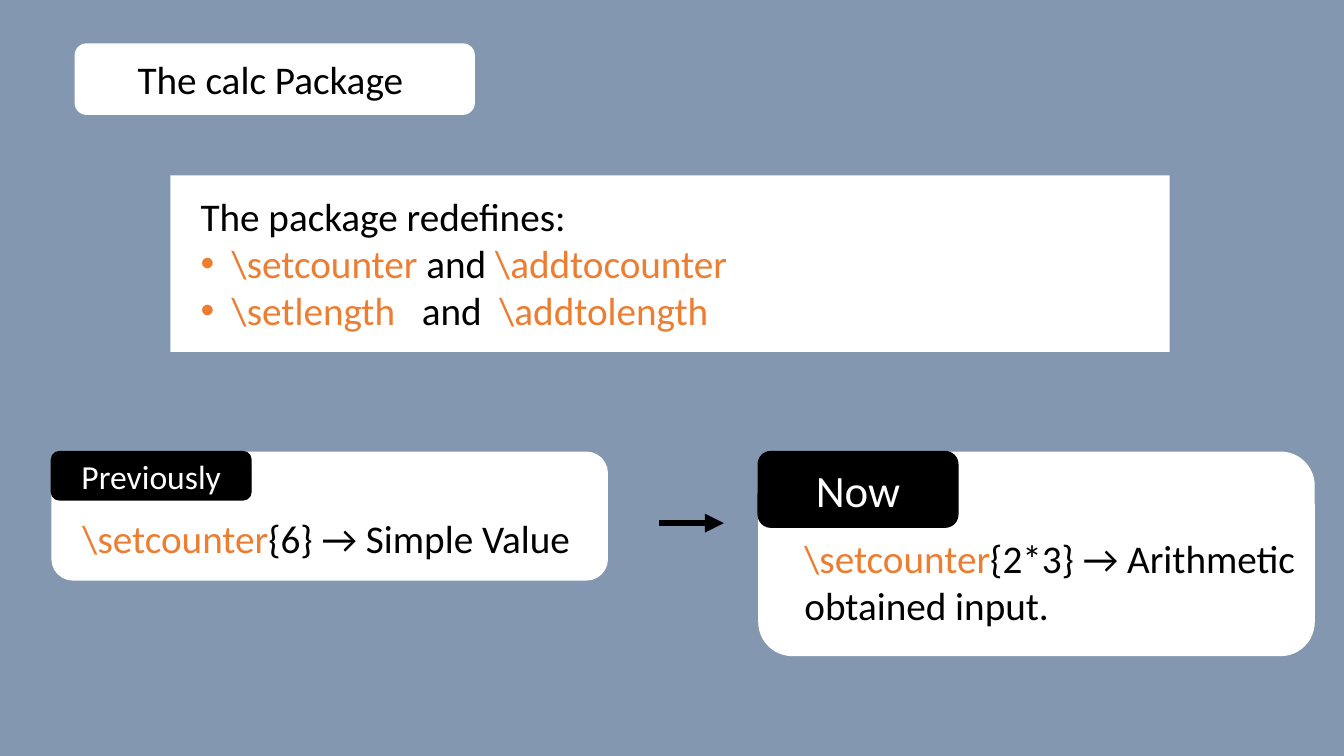
from lxml import etree
from pptx import Presentation
from pptx.dml import color
from pptx.enum import shapes, text
from pptx.oxml import ns
from pptx.util import Emu, Pt

PX = 9144  # 100 px to the inch
FONT = "Calibri"
SLATE, WHITE, BLACK, ORANGE = "8497B0", "FFFFFF", "000000", "ED7D31"
ROUND = shapes.MSO_SHAPE.ROUNDED_RECTANGLE
RECT = shapes.MSO_SHAPE.RECTANGLE

# Content: a run is (words, colour, extra letter spacing in points)
TITLE = [("The calc Package ", BLACK, 0)]
INTRO = [("The package redefines:", BLACK, 0)]
PAIRS = [
    [("\\setcounter ", ORANGE, 0), ("and ", BLACK, 0), ("\\addtocounter", ORANGE, 0)],
    [("\\setlength", ORANGE, 0), (" ", ORANGE, 12.7), ("and", BLACK, 0),
     (" ", ORANGE, 6.3), ("\\addtolength", ORANGE, 0)],
]
# Cards: left, height, label, label height, label size, text left, text top, text height, rest
CARDS = [
    (51, 128, "Previously", 48, 24, 72, 505, 57, "{6} → Simple Value"),
    (752, 203, "Now", 75, 32, 788, 525, 104, "{2*3} → Arithmetic obtained input."),
]
CARD_TOP, CARD_W, LABEL_W, TEXT_W = 448, 552, 198, 516
INDENT = 31


def px(*nums):
    return [Emu(n * PX) for n in nums]


def rgb(code):
    return color.RGBColor.from_string(code)


def write(par, runs, size=28):
    for words, tint, gap in runs:
        run = par.add_run()
        run.text = words
        font = run.font
        font.name, font.size = FONT, Pt(size)
        font.color.rgb = rgb(tint)
        if gap:
            font._element.set("spc", str(round(gap * 100)))


def panel(kind, box, fill, edge=None):
    shape = slide.shapes.add_shape(kind, *px(*box))
    shape.shadow.inherit = False
    shape.fill.solid()
    shape.fill.fore_color.rgb = rgb(fill)
    if edge:
        shape.line.color.rgb = rgb(edge)
        shape.line.width = Pt(1)
    else:
        shape.line.fill.background()
    return shape


def center(shape, runs, size=28):
    frame = shape.text_frame
    frame.vertical_anchor = text.MSO_ANCHOR.MIDDLE
    par = frame.paragraphs[0]
    par.alignment = text.PP_ALIGN.CENTER
    write(par, runs, size)


def textbox(box, runs):
    frame = slide.shapes.add_textbox(*px(*box)).text_frame
    frame.word_wrap = True
    write(frame.paragraphs[0], runs)
    return frame


def bullet(par):
    props = par._p.get_or_add_pPr()
    props.set("marL", str(INDENT * PX))
    props.set("indent", str(-INDENT * PX))
    etree.SubElement(props, ns.qn("a:buFont")).set("typeface", "Arial")
    etree.SubElement(props, ns.qn("a:buChar")).set("char", "•")


deck = Presentation()
deck.slide_width, deck.slide_height = px(1333, 750)
slide = deck.slides.add_slide(deck.slide_layouts[6])
slide.background.fill.solid()
slide.background.fill.fore_color.rgb = rgb(SLATE)

# Title
center(panel(ROUND, (74, 43, 397, 71), WHITE), TITLE)

# Redefined commands
panel(RECT, (169, 174, 991, 175), WHITE)
frame = textbox((189, 186, 952, 199), INTRO)
for runs in PAIRS:
    par = frame.add_paragraph()
    bullet(par)
    write(par, runs)

# Before and after cards
for left, high, label, tall, size, x, y, deep, rest in CARDS:
    panel(ROUND, (left, CARD_TOP, CARD_W, high), WHITE)
    tab = panel(ROUND, (left, CARD_TOP, LABEL_W, tall), BLACK, BLACK)
    center(tab, [(label, WHITE, 0)], size)
    textbox((x, y, TEXT_W, deep), [("\\setcounter", ORANGE, 0), (rest, BLACK, 0)])

# Arrow between the cards
arrow = slide.shapes.add_connector(shapes.MSO_CONNECTOR.STRAIGHT, *px(654, 519, 718, 519))
arrow.line.color.rgb = rgb(BLACK)
arrow.line.width = Pt(4.5)
etree.SubElement(arrow.line._get_or_add_ln(), ns.qn("a:tailEnd")).set("type", "triangle")
etree.SubElement(arrow._element.spPr, ns.qn("a:effectLst"))

deck.save("out.pptx")
